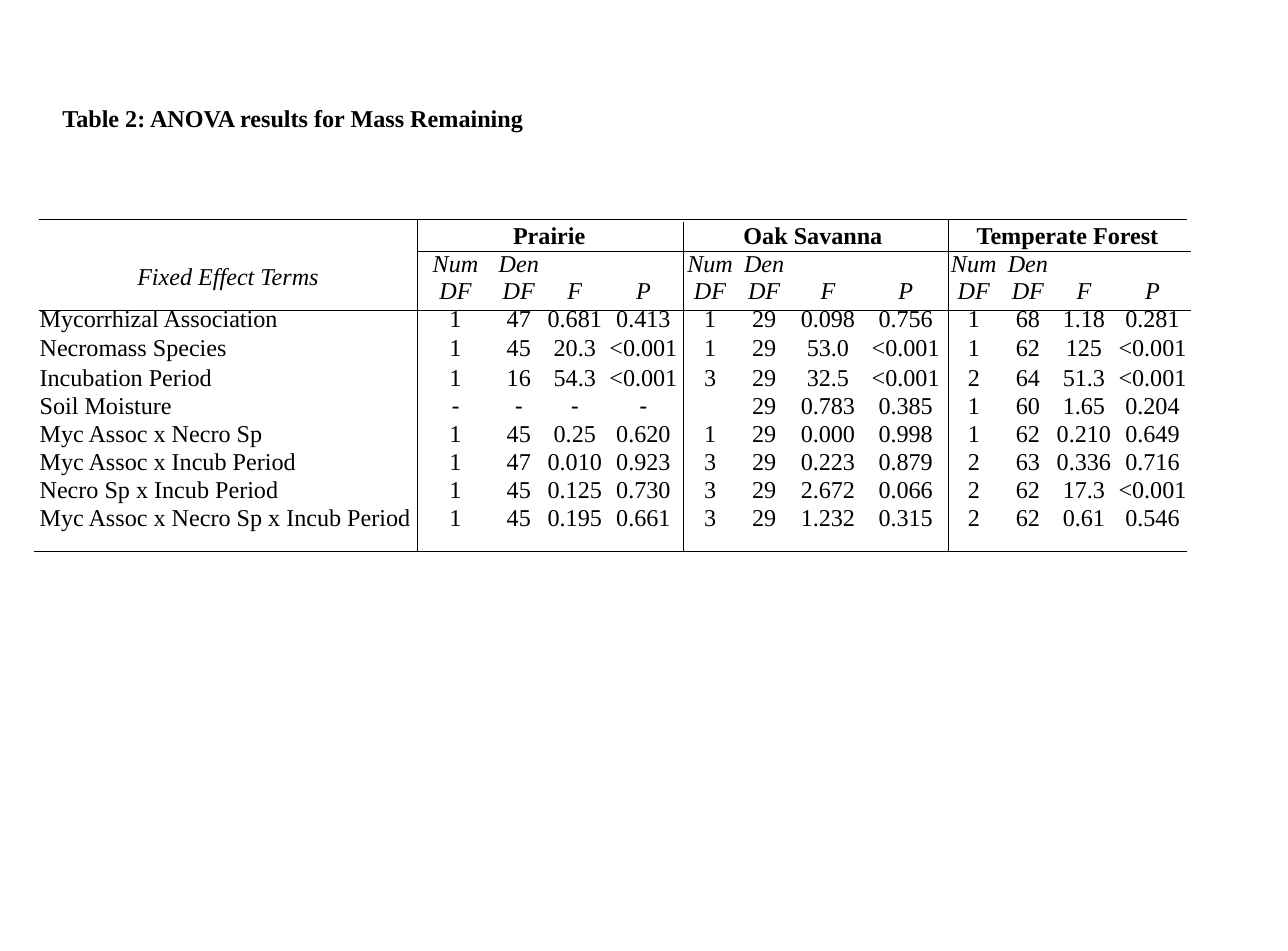
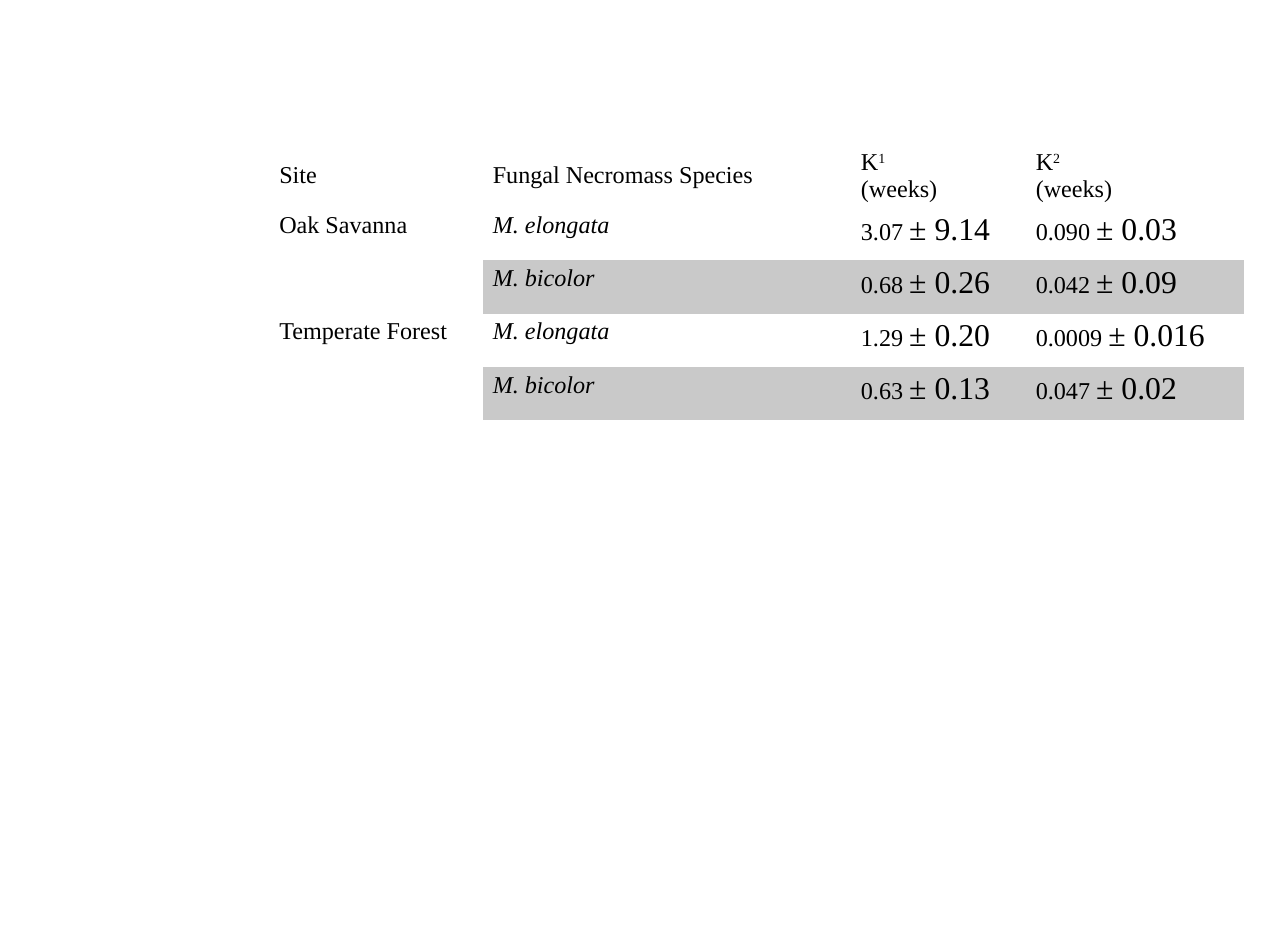
from lxml import etree
from pptx import Presentation
from pptx.dml.color import RGBColor
from pptx.enum.shapes import MSO_CONNECTOR
from pptx.enum.text import MSO_ANCHOR, MSO_AUTO_SIZE, PP_ALIGN
from pptx.oxml.ns import qn
from pptx.util import Inches, Pt

STRAIGHT = MSO_CONNECTOR.STRAIGHT
TOP, MIDDLE, BOTTOM = MSO_ANCHOR.TOP, MSO_ANCHOR.MIDDLE, MSO_ANCHOR.BOTTOM
LEFT, CENTER = PP_ALIGN.LEFT, PP_ALIGN.CENTER
FIT_SHAPE = MSO_AUTO_SIZE.SHAPE_TO_FIT_TEXT
NO_GRID_STYLE = "{2D5ABB26-0587-4C30-8999-92F81FD0307C}"
BLANK_LAYOUT = 6


def color(value):
    return RGBColor.from_string(value)


def apply_format(target, values):
    for name, value in values.items():
        setattr(target, name, value)


class Deck:
    black = "000000"
    band = "C9C9C9"
    base_font = {"name": "Times New Roman", "size": Pt(18), "bold": False, "italic": False}
    tight = {
        "margin_left": Inches(0.01),
        "margin_right": Inches(0.01),
        "margin_top": Inches(0.01),
        "margin_bottom": 0,
    }

    def __init__(self, width, height):
        self.presentation = Presentation()
        self.presentation.slide_width = Inches(width)
        self.presentation.slide_height = Inches(height)
        self.slide = None

    def add_slide(self):
        layout = self.presentation.slide_layouts[BLANK_LAYOUT]
        self.slide = self.presentation.slides.add_slide(layout)

    def fill_text(self, frame, paragraphs, align=LEFT, **font):
        for index, runs in enumerate(paragraphs):
            paragraph = frame.paragraphs[0] if index == 0 else frame.add_paragraph()
            paragraph.alignment = align
            for text, extra in runs:
                run = paragraph.add_run()
                run.text = text
                values = {**self.base_font, **font, **extra}
                baseline = values.pop("baseline", None)
                apply_format(run.font, values)
                run.font.color.rgb = color(self.black)
                if baseline:
                    run._r.get_or_add_rPr().set("baseline", str(baseline))

    def title(self, text, left, top, width, height):
        shape = self.slide.shapes.add_textbox(
            Inches(left), Inches(top), Inches(width), Inches(height))
        apply_format(shape.text_frame, {"word_wrap": False, "auto_size": FIT_SHAPE})
        self.fill_text(shape.text_frame, [[(text, {})]], CENTER, bold=True)

    def line(self, x1, y1, x2, y2):
        connector = self.slide.shapes.add_connector(
            STRAIGHT, Inches(x1), Inches(y1), Inches(x2), Inches(y2))
        connector.line.color.rgb = color(self.black)
        connector.line.width = Pt(0.5)
        etree.SubElement(connector._element.spPr, qn("a:effectLst"))

    def table(self, left, top, widths, heights):
        shape = self.slide.shapes.add_table(
            len(heights), len(widths), Inches(left), Inches(top),
            Inches(sum(widths)), Inches(sum(heights)))
        table = shape.table
        apply_format(table, {"first_row": False, "horz_banding": False})
        table._tbl.tblPr.find(qn("a:tableStyleId")).text = NO_GRID_STYLE
        for column, width in zip(table.columns, widths):
            column.width = Inches(width)
        for row, height in zip(table.rows, heights):
            row.height = Inches(height)
        for cell in table.iter_cells():
            cell.fill.background()
        return table

    def cell(self, cell, paragraphs, anchor=TOP, align=LEFT, fill=None, **font):
        cell.vertical_anchor = anchor
        if fill:
            cell.fill.solid()
            cell.fill.fore_color.rgb = color(fill)
        self.fill_text(cell.text_frame, paragraphs, align, **font)

    def compact(self, table):
        for cell in table.iter_cells():
            apply_format(cell, self.tight)
            if not cell.text_frame.text:
                paragraph = cell.text_frame.paragraphs[0]._p
                etree.SubElement(paragraph, qn("a:endParaRPr")).set("sz", "1200")


SITES = ["Prairie", "Oak Savanna", "Temperate Forest"]
STATISTICS = ["Num\nDF", "Den\nDF", "F", "P"]
EFFECTS = [
    ("Mycorrhizal Association", "1 47 0.681 0.413", "1 29 0.098 0.756", "1 68 1.18 0.281"),
    ("Necromass Species", "1 45 20.3 <0.001", "1 29 53.0 <0.001", "1 62 125 <0.001"),
    ("Incubation Period", "1 16 54.3 <0.001", "3 29 32.5 <0.001", "2 64 51.3 <0.001"),
    ("Soil Moisture", "- - - -", "29 0.783 0.385", "1 60 1.65 0.204"),
    ("Myc Assoc x Necro Sp", "1 45 0.25 0.620", "1 29 0.000 0.998", "1 62 0.210 0.649"),
    ("Myc Assoc x Incub Period", "1 47 0.010 0.923", "3 29 0.223 0.879", "2 63 0.336 0.716"),
    ("Necro Sp x Incub Period", "1 45 0.125 0.730", "3 29 2.672 0.066", "2 62 17.3 <0.001"),
    ("Myc Assoc x Necro Sp x Incub Period",
     "1 45 0.195 0.661", "3 29 1.232 0.315", "2 62 0.61 0.546"),
]
ANOVA_WIDTHS = [3.92, 0.79, 0.52, 0.64, 0.78, 0.6, 0.52, 0.8, 0.81, 0.6, 0.52, 0.64, 0.78]
ANOVA_HEIGHTS = [0.45, 0.29, 0.57, 0.29, 0.3, 0.31] + [0.29] * 5 + [0.4] * 2
ANOVA_RULES = [
    (4.32, 2.6, 12.33, 2.6),
    (0.4, 2.27, 12.28, 2.27),
    (0.4, 3.21, 12.33, 3.21),
    (0.35, 5.71, 12.29, 5.71),
    (4.32, 2.27, 4.32, 5.71),
    (7.07, 2.3, 7.07, 5.71),
    (9.81, 2.27, 9.81, 5.71),
]
DECAY = [
    ("Oak Savanna", "M. elongata", ("3.07", "9.14"), ("0.090", "0.03")),
    ("", "M. bicolor", ("0.68", "0.26"), ("0.042", "0.09")),
    ("Temperate Forest", "M. elongata", ("1.29", "0.20"), ("0.0009", "0.016")),
    ("", "M. bicolor", ("0.63", "0.13"), ("0.047", "0.02")),
]


def plain(text):
    return [[(part, {})] for part in text.split("\n")]


def anova_slide(deck):
    deck.add_slide()
    table = deck.table(0.4, 1.84, ANOVA_WIDTHS, ANOVA_HEIGHTS)
    table.cell(0, 0).merge(table.cell(1, 0))
    table.cell(0, 1).merge(table.cell(0, 12))
    deck.cell(table.cell(2, 0), plain("Fixed Effect Terms"), MIDDLE, CENTER, italic=True)
    for site_index, site in enumerate(SITES):
        first = 1 + site_index * len(STATISTICS)
        table.cell(1, first).merge(table.cell(1, first + 3))
        deck.cell(table.cell(1, first), plain(site), BOTTOM, CENTER, bold=True)
        for offset, label in enumerate(STATISTICS):
            deck.cell(table.cell(2, first + offset), plain(label), BOTTOM, CENTER, italic=True)
    for row, (effect, *groups) in enumerate(EFFECTS, 3):
        deck.cell(table.cell(row, 0), plain(effect), BOTTOM)
        for site_index, group in enumerate(groups):
            values = group.split()
            first = 1 + (site_index + 1) * len(STATISTICS) - len(values)
            for column, value in enumerate(values, first):
                font = {"name": "Arial"} if value == "-" else {}
                deck.cell(table.cell(row, column), plain(value), BOTTOM, CENTER, **font)
    deck.compact(table)
    for rule in ANOVA_RULES:
        deck.line(*rule)
    deck.title("Table 2: ANOVA results for Mass Remaining", 0.52, 1.02, 5.02, 0.4)


def decay_slide(deck):
    deck.add_slide()
    table = deck.table(2.79, 1.49, [2.21, 3.81, 1.81, 2.26], [0.65] + [0.55] * 4)
    rates = [[[("K", {}), (power, {"baseline": 30000})], [("(weeks)", {})]] for power in "12"]
    headings = [plain("Site"), plain("Fungal Necromass Species"), *rates]
    for column, heading in enumerate(headings):
        deck.cell(table.cell(0, column), heading, MIDDLE)
    for row, (site, species, *constants) in enumerate(DECAY, 1):
        fill = None if site else deck.band
        if site:
            table.cell(row, 0).merge(table.cell(row + 1, 0))
            deck.cell(table.cell(row, 0), plain(site))
        deck.cell(table.cell(row, 1), plain(species), fill=fill, italic=True)
        for column, (mean, error) in enumerate(constants, 2):
            runs = [(f"{mean} ", {}), (f"± {error}", {"size": Pt(23.6)})]
            deck.cell(table.cell(row, column), [runs], fill=fill)


def main():
    deck = Deck(13.33, 9.84)
    anova_slide(deck)
    decay_slide(deck)
    deck.presentation.save("out.pptx")


if __name__ == "__main__":
    main()
